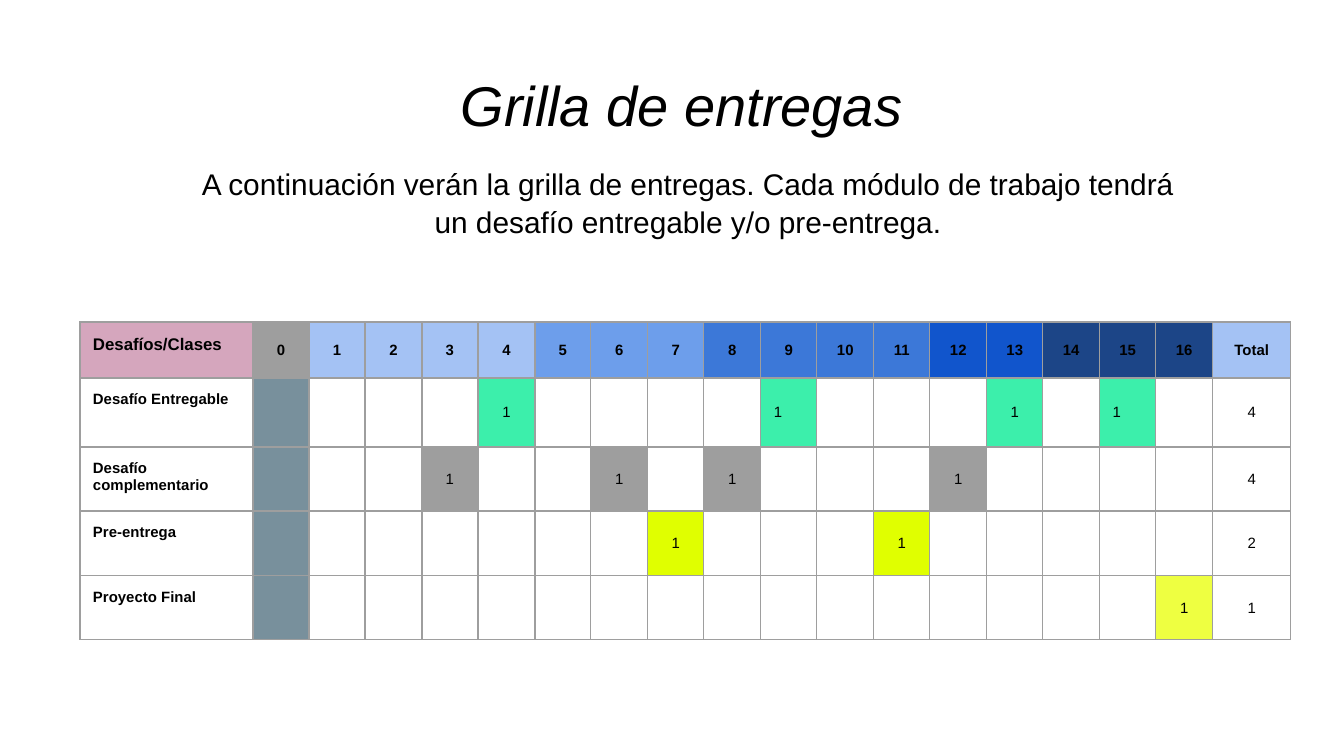
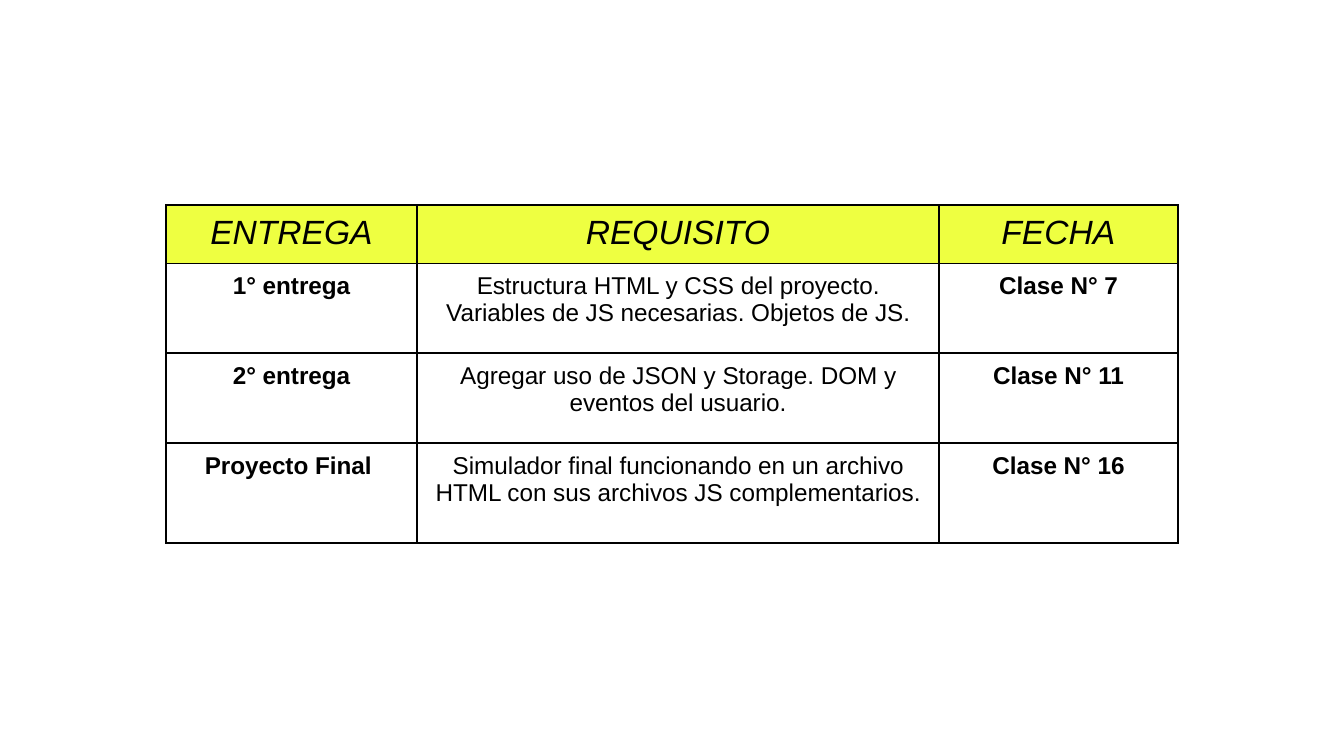
"""Build two slides: the grid of class deliveries and the list of requirements."""
from lxml.etree import SubElement as Sub
from pptx import Presentation
from pptx.dml.color import RGBColor as Rgb
from pptx.enum.text import MSO_ANCHOR as Anchor, PP_ALIGN as Align
from pptx.oxml.ns import qn
from pptx.util import Emu, Pt

SCALE = 914400 / 134.4
FONT = "Arial"
COLORS = {
    "black": "000000", "gray": "9E9E9E", "slate": "78909C", "pink": "D5A6BD",
    "pale": "A4C2F4", "light": "6D9EEB", "mid": "3C78D8", "deep": "1155CC",
    "navy": "1C4587", "green": "3CEFAB", "lime": "E0FF00", "yellow": "EEFF41",
}
SHADES = (["gray"] + ["pale"] * 4 + ["light"] * 3 + ["mid"] * 4
          + ["deep"] * 2 + ["navy"] * 3)
TASKS = [
    ("Desafío Entregable", "green", (4, 9, 13, 15), 4),
    ("Desafío complementario", "gray", (3, 6, 8, 12), 4),
    ("Pre-entrega", "lime", (7, 11), 2),
    ("Proyecto Final", "yellow", (16,), 1),
]
LEFT_MARKS = {("green", 9), ("green", 15)}
HEADS = ["ENTREGA", "REQUISITO", "FECHA"]
DATES = [
    ("1° entrega",
     "Estructura HTML y CSS del proyecto. Variables de JS necesarias. Objetos de JS.",
     "Clase N° 7"),
    ("2° entrega", "Agregar uso de JSON y Storage. DOM y eventos del usuario.",
     "Clase N° 11"),
    ("Proyecto Final ",
     "Simulador final funcionando en un archivo HTML con sus archivos JS complementarios.",
     "Clase N° 16"),
]


def px(num):
    """Turn pixels into EMU."""
    return Emu(round(num * SCALE))


def rgb(name):
    """Look up a named colour."""
    return Rgb.from_string(COLORS[name])


def style(para, text, size, bold=False, italic=False, align=Align.CENTER):
    """Fill a paragraph and set its font."""
    para.text = text
    para.alignment = align
    font = para.font
    font.name, font.size, font.bold, font.italic = FONT, Pt(size), bold, italic
    font.color.rgb = rgb("black")


def pad(item, gap):
    """Give a cell or text frame equal margins."""
    item.margin_left = item.margin_right = px(gap)
    item.margin_top = item.margin_bottom = px(gap)


def add_text(slide, box, text, size, italic=False, space=1.0):
    """Add a centred text box."""
    frame = slide.shapes.add_textbox(*map(px, box)).text_frame
    frame.word_wrap = True
    pad(frame, 13)
    para = frame.paragraphs[0]
    style(para, text, size, italic=italic)
    para.line_spacing = space


def add_grid(slide, left, top, cols, rows):
    """Add a plain table with the given column and row sizes."""
    table = slide.shapes.add_table(
        len(rows), len(cols), px(left), px(top), px(sum(cols)), px(sum(rows))).table
    table.first_row = table.horz_banding = False
    for col, wide in zip(table.columns, cols):
        col.width = px(wide)
    for row, high in zip(table.rows, rows):
        row.height = px(high)
    return table


def edge(cell, color, width):
    """Draw a line on all four sides of a cell."""
    props = cell._tc.get_or_add_tcPr()
    for side in "LRTB":
        line = Sub(props, qn(f"a:ln{side}"), w=str(Pt(width)))
        Sub(Sub(line, qn("a:solidFill")), qn("a:srgbClr"), val=COLORS[color])


def set_cell(cell, text, size, line, gap, fill=None, anchor=Anchor.TOP, **font):
    """Set the border, fill and text of a cell."""
    edge(cell, *line)
    if fill:
        cell.fill.solid()
        cell.fill.fore_color.rgb = rgb(fill)
    else:
        cell.fill.background()
    pad(cell, gap)
    cell.vertical_anchor = anchor
    style(cell.text_frame.paragraphs[0], text, size, **font)


def draw_plan(slide):
    """Draw the grid of deliveries by class."""
    count = len(SHADES)
    ends = [960 * num // count for num in range(count + 1)]
    cols = [173] + [end - start for start, end in zip(ends, ends[1:])] + [78]
    table = add_grid(slide, 80, 322, cols, [56, 69, 64, 65, 64])
    line = ("gray", 0.75)

    def put(row, col, text="", fill=None, size=8, anchor=Anchor.MIDDLE, **font):
        """Set one cell of the grid."""
        set_cell(table.cell(row, col), text, size, line, 13, fill, anchor, **font)

    label = {"anchor": Anchor.TOP, "align": Align.LEFT, "bold": True}
    put(0, 0, "Desafíos/Clases", "pink", 9, **label)
    for num, shade in enumerate(SHADES):
        put(0, num + 1, str(num), shade, bold=True)
    put(0, count + 1, "Total", "pale", bold=True)
    for row, (name, fill, marks, total) in enumerate(TASKS, 1):
        put(row, 0, name, **label)
        put(row, 1, fill="slate")
        for num in range(1, count):
            align = Align.LEFT if (fill, num) in LEFT_MARKS else Align.CENTER
            mark = ("1", fill) if num in marks else ()
            put(row, num + 1, *mark, align=align)
        put(row, count + 1, str(total))


def draw_dates(slide):
    """Draw the table of requirements and dates."""
    table = add_grid(slide, 166, 205, [251, 522, 239], [56, 90, 90, 100])
    line = ("black", 1)
    for col, head in enumerate(HEADS):
        set_cell(table.cell(0, col), head, 18, line, 9, "yellow", italic=True)
    for row, texts in enumerate(DATES, 1):
        for col, text in enumerate(texts):
            set_cell(table.cell(row, col), text, 13, line, 9, bold=col != 1)


def main():
    """Build and save the deck."""
    deck = Presentation()
    deck.slide_width, deck.slide_height = px(1344), px(756)
    blank = deck.slide_layouts[6]
    plan = deck.slides.add_slide(blank)
    draw_plan(plan)
    add_text(plan, (222, 58, 919, 94), "Grilla de entregas", 30, italic=True)
    add_text(plan, (180, 151, 1016, 130),
             "A continuación verán la grilla de entregas. Cada módulo de trabajo "
             "tendrá un desafío entregable y/o pre-entrega.", 16, space=1.05)
    draw_dates(deck.slides.add_slide(blank))
    deck.save("out.pptx")


if __name__ == "__main__":
    main()
